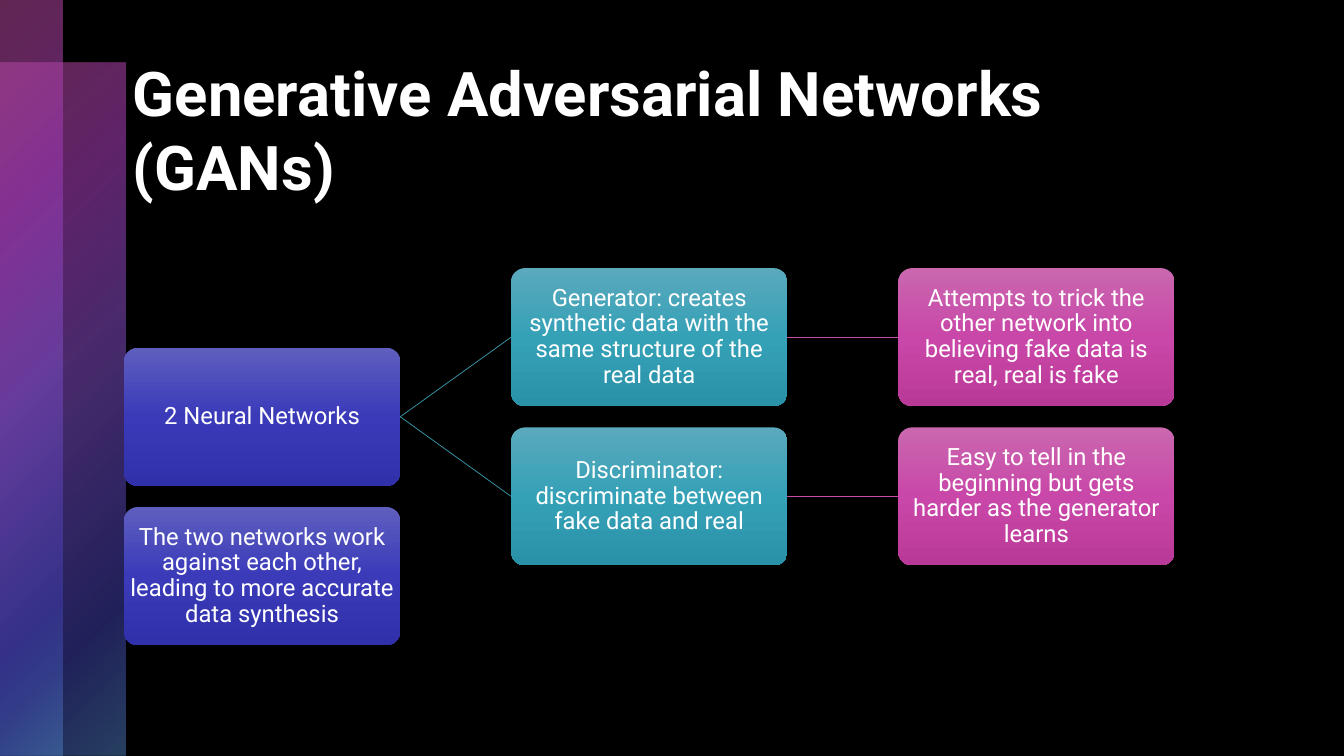
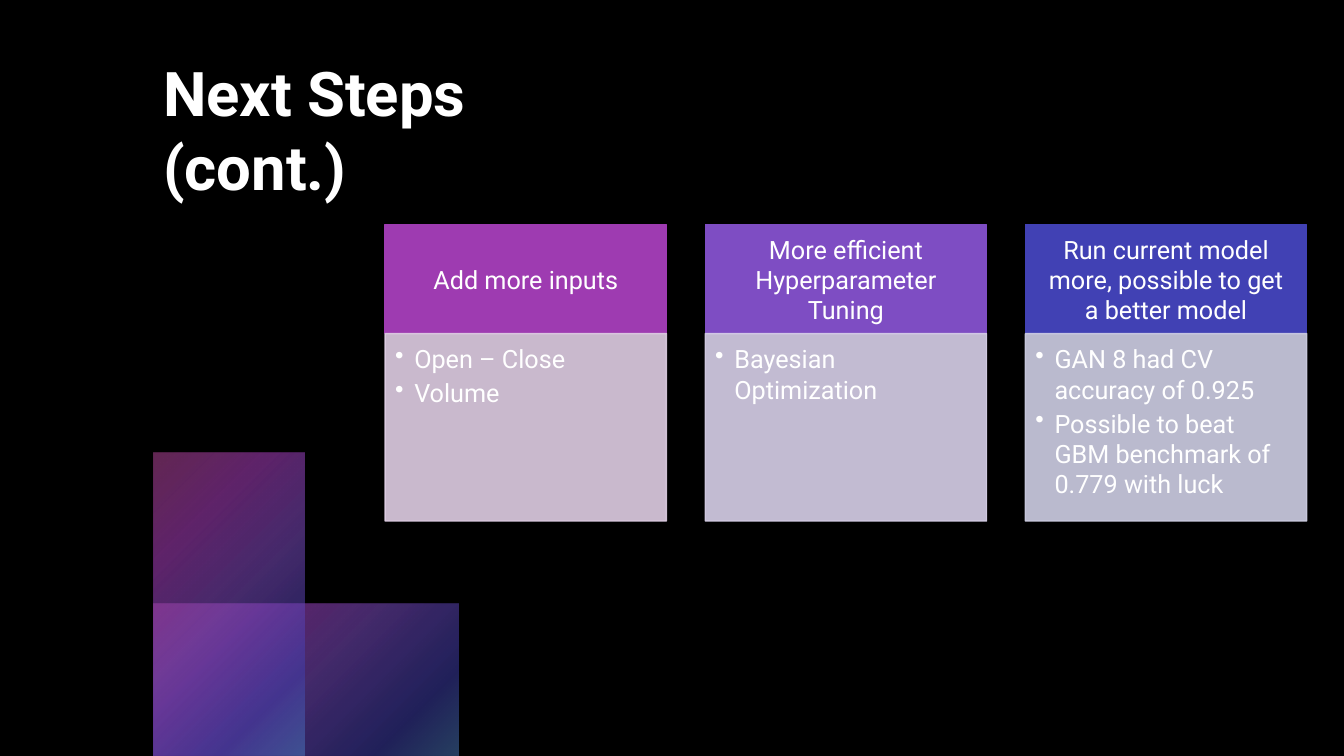
from pptx import Presentation
from pptx.dml.color import RGBColor
from pptx.enum import shapes, text
from pptx.oxml import ns
from pptx.util import Inches, Pt
from lxml import etree

FONT = "Roboto"
BLACK = RGBColor(0x00, 0x00, 0x00)
WHITE = RGBColor(0xFF, 0xFF, 0xFF)
PINK = RGBColor(0xC3, 0x4D, 0xA5)
PURPLE = RGBColor(0x9E, 0x3B, 0xB1)
VIOLET = RGBColor(0x7E, 0x4D, 0xC3)
INDIGO = RGBColor(0x41, 0x41, 0xB4)
BLUE = RGBColor(0x4D, 0x7E, 0xC3)
TEAL = RGBColor(0x3B, 0x9D, 0xB1)
PALE_PURPLE = RGBColor(0xDF, 0xCE, 0xE4)
PALE_VIOLET = RGBColor(0xD8, 0xD0, 0xE9)
PALE_INDIGO = RGBColor(0xCF, 0xCF, 0xE5)

VEIL_STOPS = [(0, PINK, 50), (25, PURPLE, 60), (50, VIOLET, 55), (81, INDIGO, 50), (99, BLUE, 50)]
INDIGO_STOPS = [
    (0, RGBColor(0x5E, 0x5E, 0xBF), 100),
    (50, RGBColor(0x3B, 0x3B, 0xBA), 100),
    (100, RGBColor(0x30, 0x30, 0xAA), 100),
]
TEAL_STOPS = [
    (0, RGBColor(0x5A, 0xA9, 0xBC), 100),
    (50, RGBColor(0x35, 0xA1, 0xB7), 100),
    (100, RGBColor(0x2A, 0x92, 0xA8), 100),
]
PINK_STOPS = [
    (0, RGBColor(0xCA, 0x67, 0xAF), 100),
    (50, RGBColor(0xC9, 0x47, 0xA8), 100),
    (100, RGBColor(0xB9, 0x39, 0x98), 100),
]

NODE_LEFT, NODE_TOP = 1.23, 2.66
NODE_WIDTH, NODE_HEIGHT = 2.74, 1.37
NODE_STEP_X, NODE_STEP_Y = 3.84, 0.79
CARD_FIRST, CARD_LAST = 3.82, 10.17
CARD_TOP, CARD_WIDTH = 2.23, 2.79
HEADER_HEIGHT, BODY_HEIGHT = 1.08, 1.86


def child(parent, tag, **attributes):
    return etree.SubElement(parent, ns.qn(tag), {k: str(v) for k, v in attributes.items()})


def set_alpha(color, percent):
    child(color, "a:alpha", val=percent * 1000)


def set_gradient(shape, stops, radial=False):
    shape.fill.background()
    properties = shape._element.spPr
    gradient = etree.Element(ns.qn("a:gradFill"), {"rotWithShape": "1"})
    stop_list = child(gradient, "a:gsLst")
    for position, color, alpha in stops:
        stop = child(stop_list, "a:gs", pos=position * 1000)
        set_alpha(child(stop, "a:srgbClr", val=color), alpha)
    if radial:
        path_fill = child(gradient, "a:path", path="circle")
        child(path_fill, "a:fillToRect", r=100000, b=100000)
    else:
        child(gradient, "a:lin", ang=5400000, scaled=0)
    properties.replace(properties.find(ns.qn("a:noFill")), gradient)


def add_box(page, kind, left, top, width, height):
    box = page.shapes.add_shape(kind, Inches(left), Inches(top), Inches(width), Inches(height))
    box.shadow.inherit = False
    box.line.fill.background()
    return box


def set_frame(box, insets, anchor):
    frame = box.text_frame
    frame.word_wrap = True
    frame.vertical_anchor = anchor
    frame.margin_left, frame.margin_top, frame.margin_right, frame.margin_bottom = map(Inches, insets)
    return frame


def write(para, words, size, align=text.PP_ALIGN.CENTER, bold=False):
    para.alignment = align
    span = para.add_run()
    span.text = words
    span.font.name = FONT
    span.font.size = Pt(size)
    span.font.bold = bold
    span.font.color.rgb = WHITE


def add_page(deck):
    page = deck.slides.add_slide(deck.slide_layouts[6])
    page.background.fill.solid()
    page.background.fill.fore_color.rgb = BLACK
    return page


def add_title(page, words, left, width, height):
    box = page.shapes.add_textbox(Inches(left), Inches(0.5), Inches(width), Inches(height))
    frame = set_frame(box, (0.1, 0.05, 0.1, 0.05), text.MSO_ANCHOR.TOP)
    write(frame.paragraphs[0], words, 44, text.PP_ALIGN.LEFT, bold=True)


def add_veil(page, left, top, width, height):
    veil = add_box(page, shapes.MSO_SHAPE.RECTANGLE, left, top, width, height)
    set_gradient(veil, VEIL_STOPS, radial=True)


def add_node(page, words, column, row, stops):
    node = add_box(
        page, shapes.MSO_SHAPE.ROUNDED_RECTANGLE,
        NODE_LEFT + column * NODE_STEP_X, NODE_TOP + row * NODE_STEP_Y, NODE_WIDTH, NODE_HEIGHT,
    )
    node.adjustments[0] = 0.1
    set_gradient(node, stops)
    para = set_frame(node, (0.01,) * 4, text.MSO_ANCHOR.MIDDLE).paragraphs[0]
    para.line_spacing = 0.9
    write(para, words, 17)
    return node


def add_link(page, start, end, color):
    link = page.shapes.add_connector(shapes.MSO_CONNECTOR.STRAIGHT, 0, 0, 0, 0)
    link.begin_connect(start, 3)
    link.end_connect(end, 1)
    link.line.color.rgb = color
    link.line.width = Pt(0.5)
    child(link._element.spPr, "a:effectLst")


def paint(box, color, alpha=100):
    box.fill.solid()
    box.fill.fore_color.rgb = color
    box.line.color.rgb = color
    box.line.width = Pt(1)
    if alpha < 100:
        for shade in box._element.spPr.iter(ns.qn("a:srgbClr")):
            set_alpha(shade, alpha)


def add_bullet(para, words):
    properties = para._p.get_or_add_pPr()
    properties.set("marL", str(Inches(0.19)))
    properties.set("indent", str(-Inches(0.19)))
    para.space_after = Pt(2.7)
    child(properties, "a:buChar", char="•")
    write(para, words, 18, text.PP_ALIGN.LEFT)


def add_card(page, left, heading, points, color, pale):
    header = add_box(page, shapes.MSO_SHAPE.RECTANGLE, left, CARD_TOP, CARD_WIDTH, HEADER_HEIGHT)
    paint(header, color)
    frame = set_frame(header, (0.14, 0.08, 0.14, 0.08), text.MSO_ANCHOR.MIDDLE)
    write(frame.paragraphs[0], heading, 18)

    body = add_box(
        page, shapes.MSO_SHAPE.RECTANGLE, left, CARD_TOP + HEADER_HEIGHT, CARD_WIDTH, BODY_HEIGHT
    )
    paint(body, pale, 90)
    frame = set_frame(body, (0.1, 0.1, 0.14, 0.16), text.MSO_ANCHOR.TOP)
    for index, words in enumerate(points):
        add_bullet(frame.add_paragraph() if index else frame.paragraphs[0], words)


def build_networks(deck):
    page = add_page(deck)
    add_veil(page, 0, 0.62, 1.24, 6.88)
    add_veil(page, 0, 0, 0.62, 7.5)
    add_title(page, "Generative Adversarial Networks (GANs)", 1.22, 10.37, 1.7)
    root = add_node(page, "2 Neural Networks", 0, 1, INDIGO_STOPS)
    branches = [
        (0, "Generator: creates synthetic data with the same structure of the real data",
         "Attempts to trick the other network into believing fake data is real, real is fake"),
        (2, "Discriminator: discriminate between fake data and real",
         "Easy to tell in the beginning but gets harder as the generator learns"),
    ]
    for row, role, behaviour in branches:
        network = add_node(page, role, 1, row, TEAL_STOPS)
        outcome = add_node(page, behaviour, 2, row, PINK_STOPS)
        add_link(page, root, network, TEAL)
        add_link(page, network, outcome, PINK)
    add_node(
        page, "The two networks work against each other, leading to more accurate data synthesis",
        0, 3, INDIGO_STOPS,
    )


def build_next_steps(deck):
    page = add_page(deck)
    add_veil(page, 1.52, 5.99, 3.03, 1.51)
    add_veil(page, 1.52, 4.49, 1.5, 3.01)
    add_title(page, "Next Steps (cont.)", 1.52, 3.48, 3.71)
    cards = [
        ("Add more inputs", ["Open – Close", "Volume"], PURPLE, PALE_PURPLE),
        ("More efficient Hyperparameter Tuning", ["Bayesian Optimization"], VIOLET, PALE_VIOLET),
        ("Run current model more, possible to get a better model",
         ["GAN 8 had CV accuracy of 0.925", "Possible to beat GBM benchmark of 0.779 with luck"],
         INDIGO, PALE_INDIGO),
    ]
    step = (CARD_LAST - CARD_FIRST) / (len(cards) - 1)
    for index, card in enumerate(cards):
        add_card(page, CARD_FIRST + index * step, *card)


def main():
    deck = Presentation()
    deck.slide_width = Inches(13.33)
    deck.slide_height = Inches(7.5)
    build_networks(deck)
    build_next_steps(deck)
    deck.save("out.pptx")


if __name__ == "__main__":
    main()
